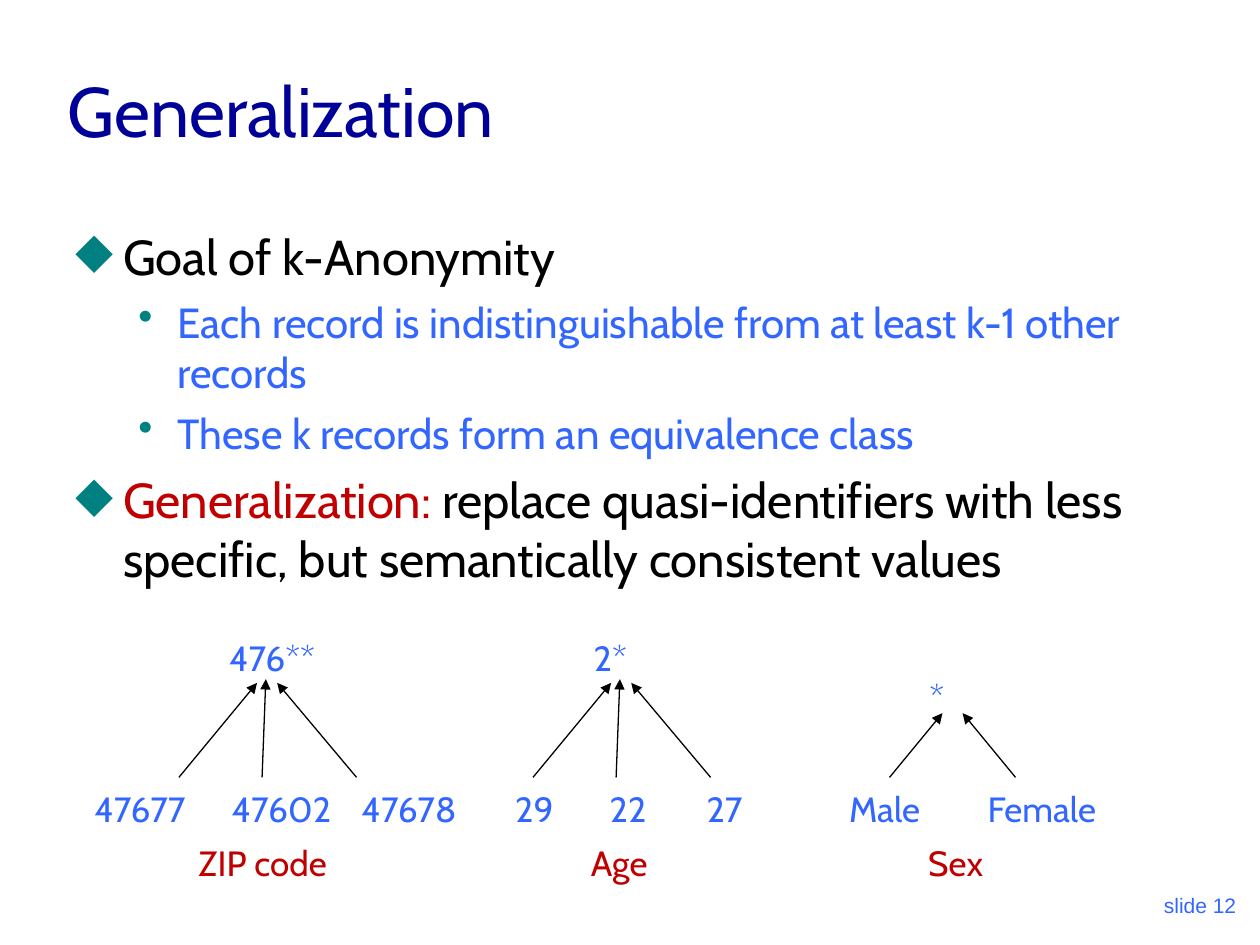
import lxml.etree
import pptx
import pptx.util
import pptx.dml.color
import pptx.enum.shapes
import pptx.enum.text
import pptx.oxml.ns

PX = 9144
BLUE, RED, NAVY, TEAL, BLACK = "3366FF", "C00000", "000099", "008080", "000000"
ALIGN = pptx.enum.text.PP_ALIGN
ANCHOR = pptx.enum.text.MSO_ANCHOR


def px(*nums):
    """Turn px lengths into EMU."""
    return [pptx.util.Emu(num * PX) for num in nums]


def hue(code):
    """Turn a hex string into a colour."""
    return pptx.dml.color.RGBColor.from_string(code)


def node(tag, parent, **attrs):
    """Append a drawing element with its attributes."""
    return lxml.etree.SubElement(parent, pptx.oxml.ns.qn(tag), **attrs)


def frame(slide, box, anchor=ANCHOR.TOP):
    """Add a wrapping text box and return its frame."""
    text = slide.shapes.add_textbox(*px(*box)).text_frame
    text.word_wrap = True
    text.vertical_anchor = anchor
    return text


def write(para, text, size=20, color=BLUE, font="Cabin", align=ALIGN.LEFT,
          before=5, left=0, hang=0, mark=None):
    """Add a formatted run to a paragraph."""
    para.alignment = align
    para.space_before = pptx.util.Pt(before)
    run = para.add_run()
    run.text = text
    run.font.size = pptx.util.Pt(size)
    run.font.name = font
    run.font.color.rgb = hue(color)
    props = para._p.get_or_add_pPr()
    props.set("marL", str(left * PX))
    props.set("indent", str(-hang * PX))
    if mark:
        node("a:srgbClr", node("a:buClr", props), val=TEAL)
        node("a:buChar", props, char=mark)


def label(slide, box, text, anchor=ANCHOR.TOP, **style):
    """Add a text box with one line."""
    write(frame(slide, box, anchor).paragraphs[0], text, **style)


def arrow(slide, start, end):
    """Draw a thin black arrow between two points."""
    kind = pptx.enum.shapes.MSO_CONNECTOR.STRAIGHT
    line = slide.shapes.add_connector(kind, *px(*start, *end))
    line.line.color.rgb = hue(BLACK)
    line.line.width = pptx.util.Pt(0.75)
    node("a:tailEnd", line.line._get_or_add_ln(), type="triangle")
    node("a:effectLst", line._element.spPr)


def body(slide, box):
    """Write the bulleted text."""
    text = frame(slide, box)
    top = dict(size=28, before=7, left=38, hang=38)
    sub = dict(size=24, before=6, left=81, hang=31, mark="•")
    goal = text.paragraphs[0]
    write(goal, "Goal of k-Anonymity", color=BLACK, mark="◆", **top)
    for line in ("Each record is indistinguishable from at least k-1 other records",
                 "These k records form an equivalence class"):
        write(text.add_paragraph(), line, **sub)
    last = text.add_paragraph()
    write(last, "Generalization: ", color=RED, mark="◆", **top)
    write(last, "replace quasi-identifiers with less specific, "
          "but semantically consistent values", color=BLACK, **top)


def tree(slide, box, root, leaves, lines, name):
    """Draw a root value, its leaves, the arrows and the name below."""
    x, y, high = box
    base = y + high
    text, left, wide = root
    label(slide, (x + left, y, wide, 44), text, align=ALIGN.CENTER, left=57)
    for start, end, tip in lines:
        arrow(slide, (x + start, base - 90), (x + end, y + tip))
    for text, left, wide in leaves:
        label(slide, (x + left, base - 87, wide, 44), text)
    text, left = name
    label(slide, (x + left, base - 44, 167, 44), text, color=RED,
          align=ALIGN.CENTER, before=12.5)


def main():
    """Build and save the slide."""
    deck = pptx.Presentation()
    deck.slide_width, deck.slide_height = px(1000, 750)
    slide = deck.slides.add_slide(deck.slide_layouts[6])
    label(slide, (44, 25, 850, 100), "Generalization", ANCHOR.BOTTOM,
          size=40, color=NAVY, before=0)
    body(slide, (50, 175, 894, 533))
    three = [(77, 139, 42), (143, 146, 39), (218, 155, 42)]
    two = [(42, 84, 35), (142, 100, 35)]
    tree(slide, (65, 500, 207), ("476**", 41, 163),
         [("47677", 0, 99), ("47602", 109, 99), ("47678", 212, 99)],
         three, ("ZIP code", 60))
    tree(slide, (346, 500, 207), ("2*", 52, 116),
         [("29", 53, 52), ("22", 128, 52), ("27", 205, 52)],
         three, ("Age", 62))
    tree(slide, (664, 531, 176), ("*", 1, 100),
         [("Male", 0, 84), ("Female", 110, 114)], two, ("Sex", 11))
    label(slide, (783, 683, 208, 50), "slide 12", ANCHOR.BOTTOM, size=12,
          font="Arial", align=ALIGN.RIGHT, before=7.5)
    deck.save("out.pptx")


if __name__ == "__main__":
    main()
